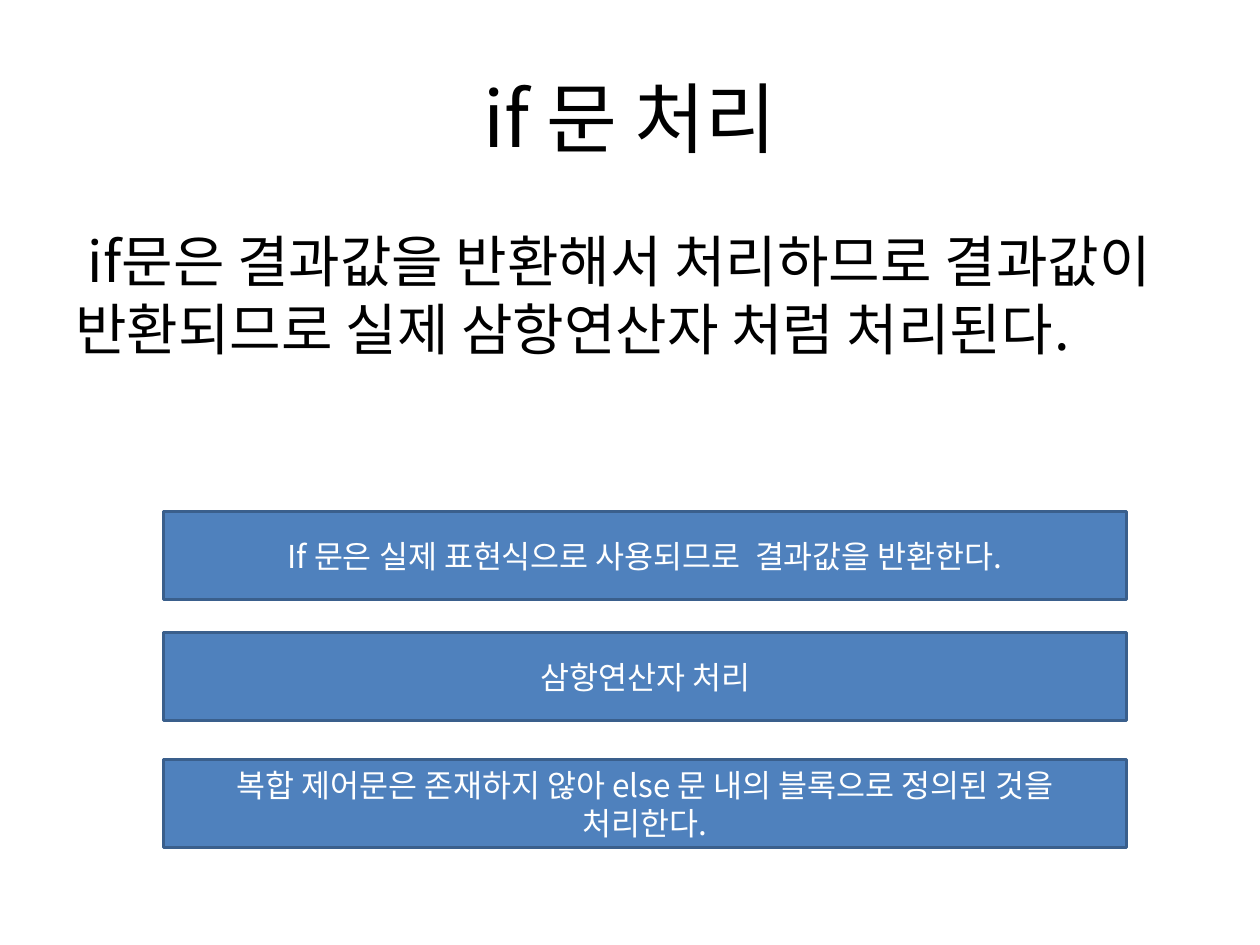
from dataclasses import dataclass

from lxml.etree import SubElement
from pptx import Presentation
from pptx.dml.color import RGBColor
from pptx.enum.shapes import MSO_SHAPE as Preset
from pptx.enum.text import MSO_ANCHOR as Anchor, PP_ALIGN as Align
from pptx.oxml.ns import qn
from pptx.util import Cm, Pt


@dataclass(frozen=True)
class Theme:
    """Colours, font and type sizes of the slide."""
    font: str = "Noto Sans CJK KR"
    ink: str = "000000"
    paper: str = "FFFFFF"
    bar_fill: str = "4F81BD"
    bar_line: str = "3A5F8C"
    title_size: int = 44
    body_size: int = 32
    bar_size: int = 18
    line_width: int = 2


THEME = Theme()
TITLE = "if 문 처리"
SUMMARY = " if문은 결과값을 반환해서 처리하므로 결과값이 반환되므로 실제 삼항연산자 처럼 처리된다."
POINTS = [
    (0, "If 문은 실제 표현식으로 사용되므로  결과값을 반환한다."),
    (2.44, "삼항연산자 처리"),
    (5, "복합 제어문은 존재하지 않아 else 문 내의 블록으로 정의된 것을 처리한다."),
]


def write(frame, text, size, color, align, anchor):
    """Fill a text frame with one formatted paragraph."""
    frame.text = text
    frame.word_wrap = True
    frame.vertical_anchor = anchor
    paragraph = frame.paragraphs[0]
    paragraph.alignment = align
    for run in paragraph.runs:
        run.font.size = Pt(size)
        run.font.name = THEME.font
        run.font.color.rgb = RGBColor.from_string(color)
        east_asian = SubElement(run.font._element, qn("a:ea"))
        east_asian.set("typeface", THEME.font)


def place_title(slide, left, top, width, height):
    """Move and format the title placeholder."""
    title = slide.shapes.title
    title.left, title.top, title.width, title.height = map(Cm, (left, top, width, height))
    write(title.text_frame, TITLE, THEME.title_size, THEME.ink, Align.CENTER, Anchor.MIDDLE)


def place_summary(slide, left, top, width, height):
    """Add the explanatory paragraph under the title."""
    summary = slide.shapes.add_textbox(*map(Cm, (left, top, width, height)))
    write(summary.text_frame, SUMMARY, THEME.body_size, THEME.ink, Align.LEFT, Anchor.TOP)
    summary.text_frame.paragraphs[0].space_before = Pt(0.2 * THEME.body_size)


def place_points(slide, left, top, width, bar_height):
    """Stack the key points as bars down the box."""
    for offset, point in POINTS:
        bar = slide.shapes.add_shape(
            Preset.RECTANGLE, *map(Cm, (left, top + offset, width, bar_height)))
        bar.shadow.inherit = False
        bar.fill.solid()
        bar.fill.fore_color.rgb = RGBColor.from_string(THEME.bar_fill)
        bar.line.color.rgb = RGBColor.from_string(THEME.bar_line)
        bar.line.width = Pt(THEME.line_width)
        write(bar.text_frame, point, THEME.bar_size, THEME.paper, Align.CENTER, Anchor.MIDDLE)


def main():
    """Build and save the slide."""
    deck = Presentation()
    deck.slide_width, deck.slide_height = Cm(25.4), Cm(19.05)
    slide = deck.slides.add_slide(deck.slide_layouts.get_by_name("Title Only"))
    place_title(slide, 1.27, 0.76, 22.86, 3.18)
    place_summary(slide, 1.27, 4.45, 22.43, 4.09)
    place_points(slide, 3.3, 10.31, 19.41, 1.78)
    deck.save("out.pptx")


if __name__ == "__main__":
    main()
